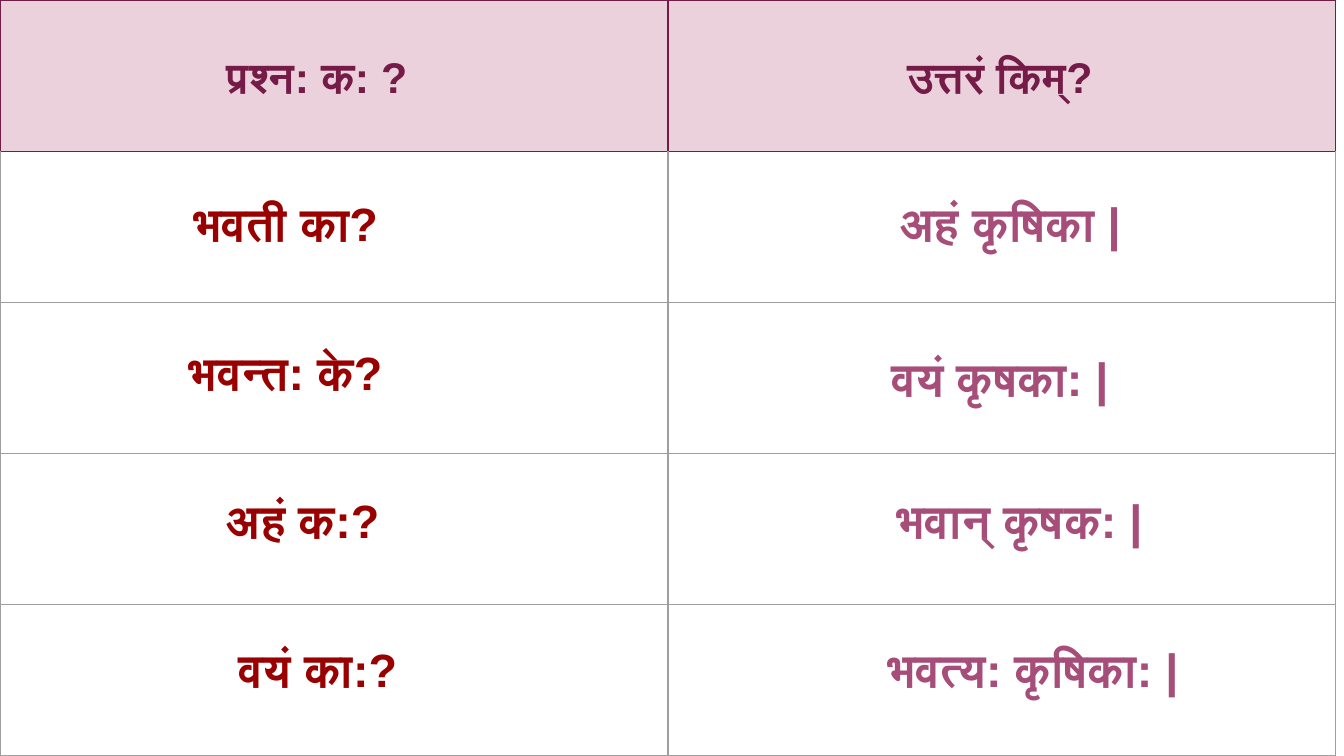
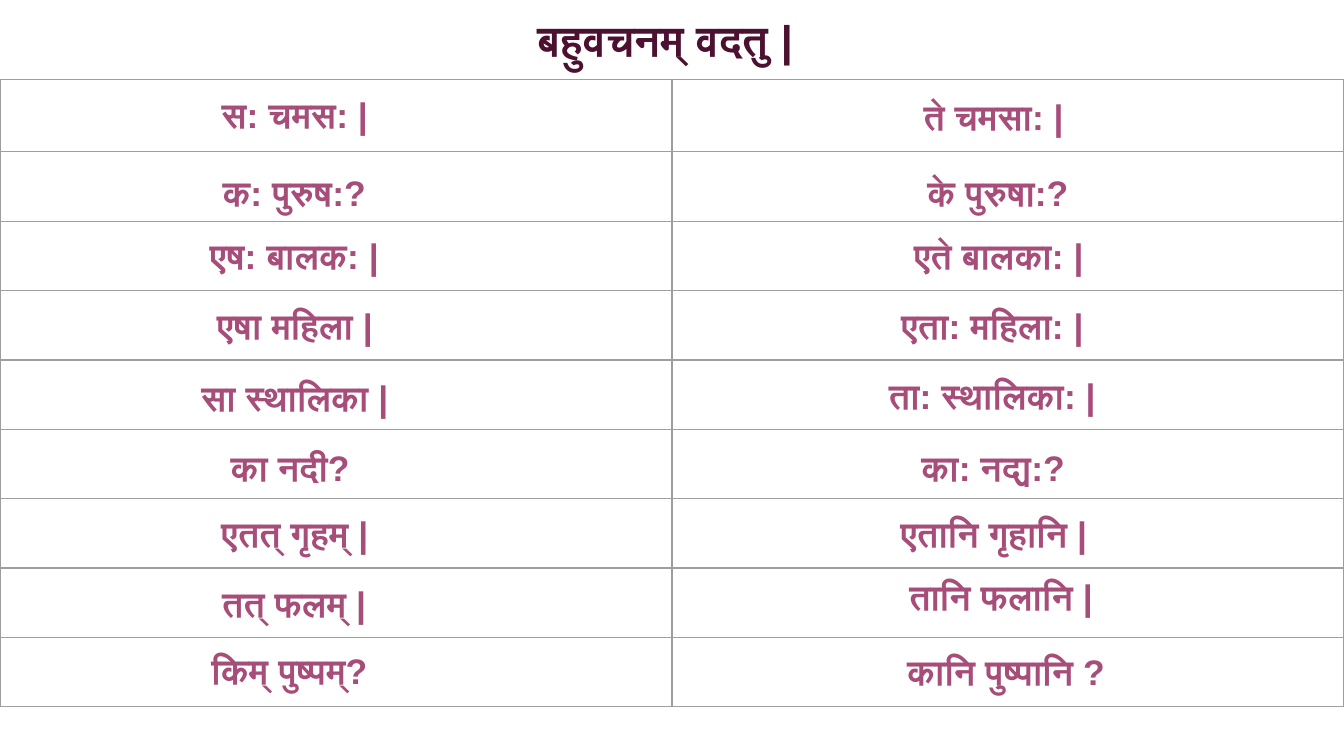
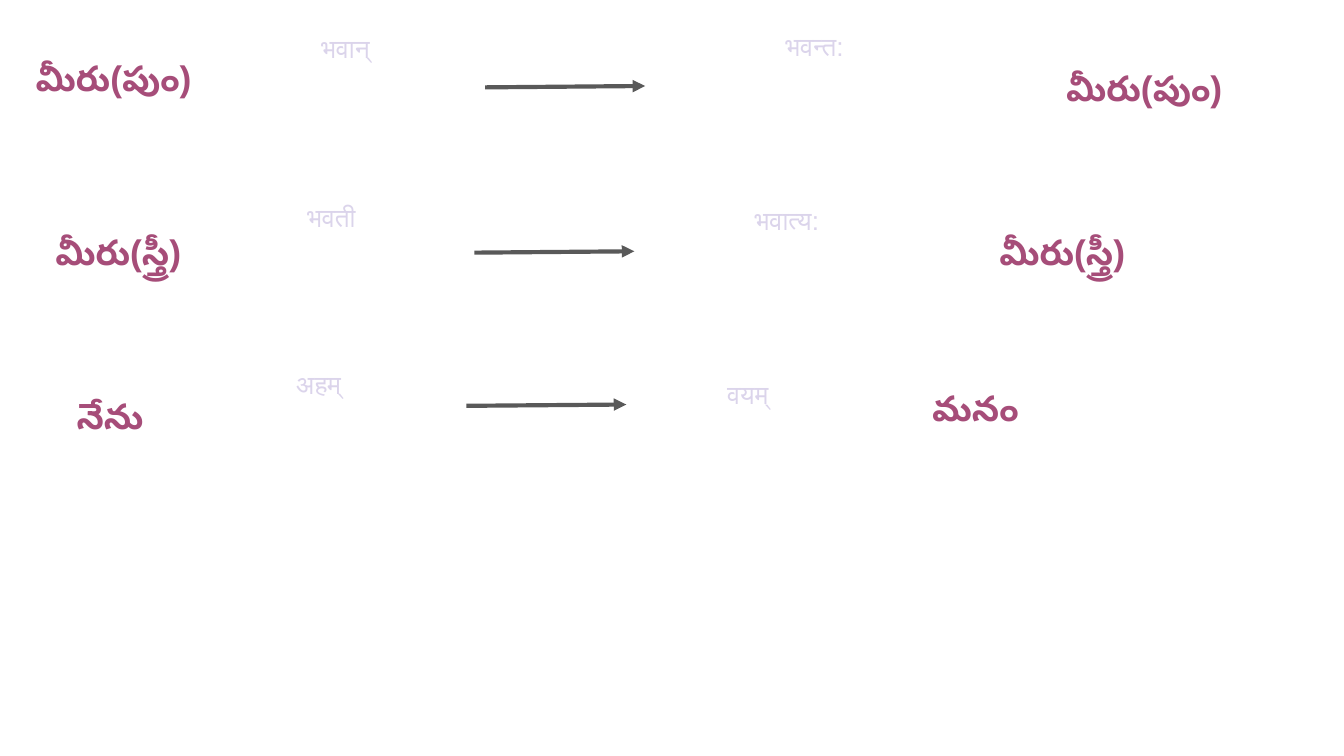
"""Builds three Sanskrit lesson slides: questions, plurals and pronoun pairs."""
from dataclasses import dataclass

from lxml import etree
from pptx import Presentation
from pptx.dml.color import RGBColor
from pptx.enum.shapes import MSO_CONNECTOR
from pptx.enum.text import MSO_ANCHOR, MSO_AUTO_SIZE, PP_ALIGN
from pptx.oxml import parse_xml
from pptx.oxml.ns import nsdecls, qn
from pptx.util import Inches, Pt

STRAIGHT = MSO_CONNECTOR.STRAIGHT
CENTER = PP_ALIGN.CENTER
TOP = MSO_ANCHOR.TOP
FIT_SHAPE = MSO_AUTO_SIZE.SHAPE_TO_FIT_TEXT
FIXED = MSO_AUTO_SIZE.NONE

TITLE_ONLY, BLANK = 5, 6
SLIDE_WIDTH = 10
SLIDE_HEIGHT = SLIDE_WIDTH * 9 / 16
FONT = "Arial"
COLORS = {
    "wine": "741B47",
    "dark_wine": "4C1130",
    "mauve": "A64D79",
    "red": "990000",
    "pink": "EAD1DC",
    "grid": "9E9E9E",
    "slate": "595959",
    "lilac": "DBD4EB",
    "violet": "9080BB",
}


@dataclass(frozen=True)
class Style:
    size: int
    color: str
    height: float
    bold: bool = True
    inset: float = 0.1
    decorative: bool = False


@dataclass(frozen=True)
class Phrase:
    text: str
    left: float
    top: float
    width: float
    style: Style
    height: float = 0


HEADING = Style(23, "wine", 0.59)
TITLE = Style(23, "dark_wine", 0.59)
QUESTION = Style(25, "red", 0.62)
ANSWER = Style(25, "mauve", 0.62)
WORD = Style(19, "mauve", 0.52)
PRONOUN = Style(14, "lilac", 0.8, bold=False, inset=0.05, decorative=True)

QUESTIONS = [
    Phrase("प्रश्न: क: ?", 1.58, 0.28, 1.56, HEADING),
    Phrase("उत्तरं किम्?", 6.54, 0.28, 1.8, HEADING),
    Phrase("भवती का?", 1.1, 1.35, 2.05, QUESTION),
    Phrase("भवन्त: के?", 1.1, 2.46, 2.05, QUESTION),
    Phrase("अहं क:?", 1.23, 3.56, 2.05, QUESTION),
    Phrase("वयं का:?", 1.34, 4.67, 2.05, QUESTION),
    Phrase("अहं कृषिका |", 6.41, 1.35, 2.22, ANSWER),
    Phrase("वयं कृषका: |", 6.33, 2.5, 2.22, ANSWER),
    Phrase("भवान् कृषक: |", 6.41, 3.56, 2.35, ANSWER),
    Phrase("भवत्य: कृषिका: |", 6.34, 4.67, 2.69, ANSWER),
]
PLURAL_TITLE = Phrase("बहुवचनम् वदतु | ", 3.75, 0, 2.49, TITLE)
PLURALS = [
    Phrase("स: चमस: | ", 1.28, 0.59, 1.9, WORD),
    Phrase("ते चमसा: | ", 6.6, 0.61, 1.66, WORD),
    Phrase("क: पुरुष:? ", 1.42, 1.17, 1.61, WORD),
    Phrase("के पुरुषा:?", 6.62, 1.17, 1.61, WORD),
    Phrase("एष: बालक: | ", 1.35, 1.64, 1.75, WORD),
    Phrase("एते बालका: |", 6.44, 1.64, 1.98, WORD),
    Phrase("एषा महिला | ", 1.32, 2.16, 1.82, WORD),
    Phrase("एता: महिला: | ", 6.51, 2.16, 1.82, WORD),
    Phrase("सा स्थालिका | ", 0.44, 2.7, 3.58, WORD),
    Phrase("ता: स्थालिका: | ", 5.53, 2.68, 3.78, WORD),
    Phrase("का नदी? ", 0.8, 3.22, 2.79, WORD),
    Phrase("का: नद्य:? ", 6.03, 3.22, 2.79, WORD),
    Phrase("एतत् गृहम् | ", 0.44, 3.71, 3.58, WORD),
    Phrase("एतानि गृहानि | ", 5.64, 3.71, 3.58, WORD),
    Phrase("तत् फलम् | ", 0.58, 4.23, 3.29, WORD),
    Phrase("तानि फलानि | ", 6.33, 4.18, 2.31, WORD),
    Phrase("किम् पुष्पम्? ", 0.36, 4.73, 3.66, WORD),
    Phrase("कानि पुष्पानि ?", 6.33, 4.74, 2.31, WORD),
]
PRONOUNS = [
    Phrase("भवान्", 1.61, 0.19, 1.92, PRONOUN, 0.91),
    Phrase("भवन्त:", 4.95, 0.18, 2.22, PRONOUN),
    Phrase("भवती", 1.62, 1.45, 1.69, PRONOUN, 0.84),
    Phrase("भवात्य:", 4.85, 1.47, 2.01, PRONOUN),
    Phrase("अहम्", 1.61, 2.69, 1.52, PRONOUN),
    Phrase("वयम्", 4.85, 2.77, 1.43, PRONOUN),
]
ARROW_STARTS = [(3.61, 0.65), (3.47, 3.02), (3.53, 1.88)]
ARROW_RUN, ARROW_RISE = 1.19, 0.01
TRANSLATIONS = [
    Phrase("మీరు(పుం)", 0.06, 0.32, 1.57, WORD),
    Phrase("మీరు(పుం) ", 7.48, 0.39, 2.14, WORD),
    Phrase("మీరు(స్త్రీ) ", 6.98, 1.61, 1.92, WORD),
    Phrase("మీరు(స్త్రీ)", 0, 1.61, 1.76, WORD),
    Phrase("నేను ", 0.16, 2.83, 1.39, WORD),
    Phrase("మనం ", 6.58, 2.77, 1.43, WORD),
]


def rgb(name: str) -> RGBColor:
    """Look up a palette colour."""
    return RGBColor.from_string(COLORS[name])


def apply_format(target, values: dict) -> None:
    """Set each attribute named in the dict."""
    for name, value in values.items():
        setattr(target, name, value)


def line_xml(tag: str, color: str) -> str:
    """Return a thin solid outline element."""
    return (f'<a:{tag} {nsdecls("a")} w="{Pt(0.75)}"><a:solidFill>'
            f'<a:srgbClr val="{COLORS[color]}"/></a:solidFill></a:{tag}>')


def decorate(run) -> None:
    """Give a run an outline and a radial gradient."""
    properties = run.font._element
    properties.insert(0, parse_xml(line_xml("ln", "slate")))
    properties.insert(1, parse_xml(
        f'<a:gradFill {nsdecls("a")}><a:gsLst>'
        f'<a:gs pos="0"><a:srgbClr val="{COLORS["lilac"]}"/></a:gs>'
        f'<a:gs pos="100000"><a:srgbClr val="{COLORS["violet"]}"/></a:gs></a:gsLst>'
        '<a:path path="circle"><a:fillToRect l="50000" t="50000" r="50000" b="50000"/>'
        '</a:path></a:gradFill>'))


def write_phrase(shape, phrase: Phrase) -> None:
    """Place a text shape and fill it with a styled phrase."""
    style = phrase.style
    apply_format(shape, {
        "left": Inches(phrase.left), "top": Inches(phrase.top),
        "width": Inches(phrase.width), "height": Inches(phrase.height or style.height),
    })
    frame = shape.text_frame
    apply_format(frame, {
        "word_wrap": True, "vertical_anchor": TOP,
        "auto_size": FIXED if style.decorative else FIT_SHAPE,
        "margin_left": Inches(0.1), "margin_right": Inches(0.1),
        "margin_top": Inches(style.inset), "margin_bottom": Inches(style.inset),
    })
    paragraph = frame.paragraphs[0]
    paragraph.alignment = CENTER
    run = paragraph.add_run()
    run.text = phrase.text
    apply_format(run.font, {"name": FONT, "size": Pt(style.size), "bold": style.bold})
    if style.decorative:
        decorate(run)
    else:
        run.font.color.rgb = rgb(style.color)
        etree.SubElement(run.font._element, qn("a:cs")).set("typeface", FONT)


def add_phrases(slide, phrases: list[Phrase]) -> None:
    """Add one text box for each phrase."""
    for phrase in phrases:
        write_phrase(slide.shapes.add_textbox(0, 0, 0, 0), phrase)


def add_grid(slide, top: float, column_width: float, row_heights: list[float],
             has_header: bool = False) -> None:
    """Add a two-column ruled table, with a tinted header if asked."""
    grid = slide.shapes.add_table(
        len(row_heights), 2, 0, Inches(top),
        Inches(2 * column_width), Inches(sum(row_heights))).table
    apply_format(grid, {"first_row": False, "horz_banding": False})
    for row_index, (row, height) in enumerate(zip(grid.rows, row_heights)):
        row.height = Inches(height)
        is_header = has_header and row_index == 0
        below_header = has_header and row_index == 1
        for cell in row.cells:
            if is_header:
                cell.fill.solid()
                cell.fill.fore_color.rgb = rgb("pink")
            else:
                cell.fill.background()
            for position, side in enumerate(("lnL", "lnR", "lnT", "lnB")):
                is_wine = is_header or (below_header and side == "lnT")
                border = parse_xml(line_xml(side, "wine" if is_wine else "grid"))
                cell._tc.get_or_add_tcPr().insert(position, border)


def add_arrow(slide, left: float, top: float) -> None:
    """Add an arrow from a singular to its plural."""
    arrow = slide.shapes.add_connector(
        STRAIGHT, Inches(left), Inches(top),
        Inches(left + ARROW_RUN), Inches(top - ARROW_RISE))
    arrow.line.color.rgb = rgb("slate")
    arrow.line.width = Pt(2.25)
    etree.SubElement(arrow.line._get_or_add_ln(), qn("a:tailEnd")).set("type", "triangle")
    etree.SubElement(arrow._element.spPr, qn("a:effectLst"))


def build_questions(deck) -> None:
    """Build the question and answer slide."""
    slide = deck.slides.add_slide(deck.slide_layouts[BLANK])
    add_grid(slide, 0, 4.97, [SLIDE_HEIGHT / 5] * 5, has_header=True)
    add_phrases(slide, QUESTIONS)


def build_plurals(deck) -> None:
    """Build the singular and plural slide."""
    slide = deck.slides.add_slide(deck.slide_layouts[TITLE_ONLY])
    write_phrase(slide.shapes.title, PLURAL_TITLE)
    add_grid(slide, 0.59, SLIDE_WIDTH / 2, [0.54] + [4.13 / 8] * 8)
    add_phrases(slide, PLURALS)


def build_pronouns(deck) -> None:
    """Build the pronoun slide."""
    slide = deck.slides.add_slide(deck.slide_layouts[BLANK])
    add_phrases(slide, PRONOUNS)
    for left, top in ARROW_STARTS:
        add_arrow(slide, left, top)
    add_phrases(slide, TRANSLATIONS)


def main() -> None:
    """Build and save the deck."""
    deck = Presentation()
    apply_format(deck, {
        "slide_width": Inches(SLIDE_WIDTH), "slide_height": Inches(SLIDE_HEIGHT),
    })
    build_questions(deck)
    build_plurals(deck)
    build_pronouns(deck)
    deck.save("out.pptx")


if __name__ == "__main__":
    main()
